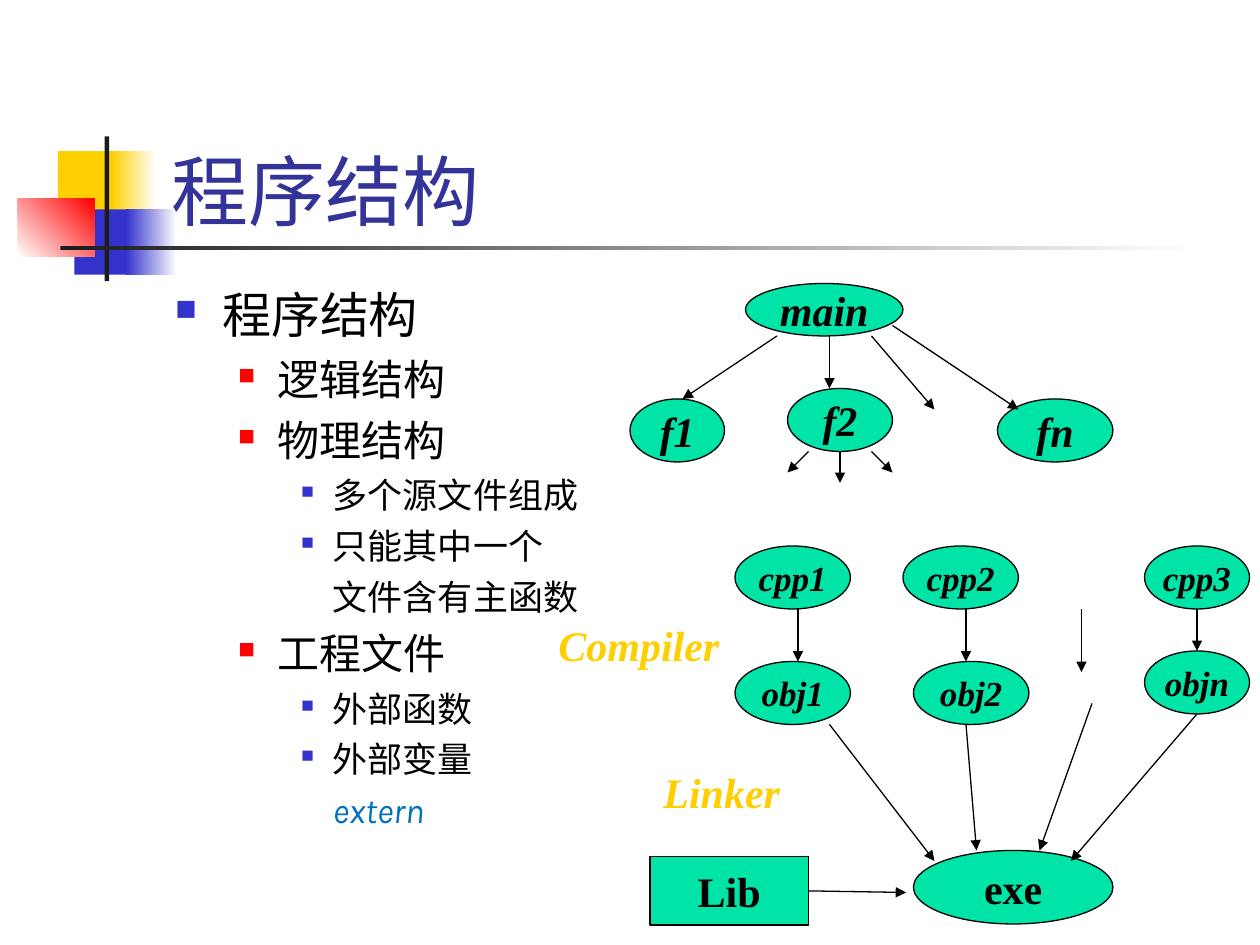
from dataclasses import dataclass

from lxml import etree
from pptx import Presentation
from pptx import util as u
from pptx.dml.color import RGBColor
from pptx.enum import shapes, text
from pptx.oxml.ns import qn

COLORS = {
    "yellow": "FFCF01", "blue": "3333CC", "red": "FF0000", "dark": "1C1C1C",
    "white": "FFFFFF", "black": "000000", "title": "333399", "green": "00E4A8",
    "link": "0070C0",
}
BODY_FONT = "Karla"
DIAGRAM_FONT = "Times New Roman"
BULLET_FONT = "Wingdings"
SQUARE_BULLET = "n"
UNITS_PER_INCH = 12


@dataclass
class Bar:
    box: tuple
    start: str
    end: str = ""
    angle: int = 0


@dataclass
class Node:
    label: str
    box: tuple
    size: int = 24
    italic: bool = True
    kind: int = shapes.MSO_SHAPE.OVAL


@dataclass
class Level:
    size: int
    left: float
    hang: float
    before: int
    bullet: str
    percent: int


@dataclass
class Item:
    text: str
    level: int
    bulleted: bool = True
    color: str = "black"
    italic: bool = False


BARS = [
    Bar((1.17, 3.05, 1.22, 1.32), "yellow"),
    Bar((2.24, 3.05, 0.91, 1.32), "yellow", "white"),
    Bar((1.5, 4.22, 1.17, 1.32), "blue"),
    Bar((2.54, 4.22, 1.02, 1.32), "blue", "white"),
    Bar((0.36, 4.01, 1.55, 1.17), "white", "red", 45),
    Bar((2.11, 2.75, 0.09, 2.92), "dark"),
    Bar((1.22, 4.95, 22.86, 0.09), "dark", "white"),
]
LEVELS = [
    Level(28, 0.95, 0.95, 7, "blue", 60),
    Level(24, 2.06, 0.79, 6, "red", 55),
    Level(20, 3.18, 0.64, 5, "blue", 50),
]
ITEMS = [
    Item("程序结构", 0),
    Item("逻辑结构", 1),
    Item("物理结构", 1),
    Item("多个源文件组成", 2),
    Item("只能其中一个", 2),
    Item("文件含有主函数", 2, bulleted=False),
    Item("工程文件", 1),
    Item("外部函数", 2),
    Item("外部变量", 2),
    Item("extern", 2, bulleted=False, color="link", italic=True),
]
NODES = [
    Node("main", (71, 27, 15, 5)),
    Node("f1", (60, 38, 9, 6)),
    Node("f2", (75, 37, 10, 6)),
    Node("fn", (95, 38, 11, 6)),
    Node("cpp1", (70, 52, 11, 6), 20),
    Node("cpp2", (86, 52, 11, 6), 20),
    Node("cpp3", (109, 52, 10, 6), 20),
    Node("obj1", (70, 63, 11, 6), 20),
    Node("obj2", (87, 63, 11, 6), 20),
    Node("objn", (109, 62, 10, 6), 20),
    Node("exe", (87, 81, 19, 7), italic=False),
]
LIB = Node("Lib", (61.9, 81.6, 15.1, 6.5), italic=False, kind=shapes.MSO_SHAPE.RECTANGLE)
ARROWS = [
    (74, 32, 65, 38), (79, 32, 79, 37), (85, 31, 97, 39), (83, 32, 89, 39),
    (77, 43, 75, 45), (80, 43, 80, 46), (83, 43, 85, 45),
    (76, 58, 76, 63), (92, 58, 92, 63), (103, 58, 103, 64), (114, 58, 114, 62),
    (79, 69, 89, 82), (92, 69, 93, 81), (104, 67, 99, 81), (114, 68, 102, 82),
]
STAGES = [("Compiler", (52, 58.4, 17.8, 6)), ("Linker", (62, 72.4, 13.6, 6))]


def rgb(name: str) -> RGBColor:
    return RGBColor.from_string(COLORS[name])


def cm(values: tuple) -> list:
    return [u.Cm(v) for v in values]


def grid(values: tuple) -> list:
    return cm(tuple(v * 2.54 / UNITS_PER_INCH for v in values))


def write(p, content: str, *, size: int, font: str = DIAGRAM_FONT, color: str = "black",
          bold: bool = False, italic: bool = False, align=text.PP_ALIGN.LEFT) -> None:
    p.alignment = align
    r = p.add_run()
    r.text = content
    f = r.font
    f.name, f.size, f.bold, f.italic = font, u.Pt(size), bold, italic
    f.color.rgb = rgb(color)
    etree.SubElement(r._r.get_or_add_rPr(), qn("a:ea"), typeface=font)


def add_text(s, box: list, wrap: bool = True):
    tf = s.shapes.add_textbox(*box).text_frame
    tf.word_wrap = wrap
    if not wrap:
        tf.auto_size = text.MSO_AUTO_SIZE.SHAPE_TO_FIT_TEXT
    return tf


def add_bar(s, bar: Bar) -> None:
    sp = s.shapes.add_shape(shapes.MSO_SHAPE.RECTANGLE, *cm(bar.box))
    sp.shadow.inherit = False
    sp.line.fill.background()
    if not bar.end:
        sp.fill.solid()
        sp.fill.fore_color.rgb = rgb(bar.start)
        return
    sp.fill.gradient()
    sp.fill.gradient_angle = bar.angle
    for stop, name in zip(sp.fill.gradient_stops, (bar.start, bar.end)):
        stop.color.rgb = rgb(name)


def add_node(s, node: Node):
    sp = s.shapes.add_shape(node.kind, *grid(node.box))
    sp.shadow.inherit = False
    sp.fill.solid()
    sp.fill.fore_color.rgb = rgb("green")
    sp.line.color.rgb = rgb("black")
    sp.line.width = u.Pt(0.75)
    tf = sp.text_frame
    tf.word_wrap = False
    tf.vertical_anchor = text.MSO_ANCHOR.MIDDLE
    write(tf.paragraphs[0], node.label, size=node.size, bold=True, italic=node.italic,
          align=text.PP_ALIGN.CENTER)
    return sp


def add_arrow(s, ends: tuple):
    c = s.shapes.add_connector(shapes.MSO_CONNECTOR.STRAIGHT, *grid(ends))
    c.line.color.rgb = rgb("black")
    c.line.width = u.Pt(0.75)
    sp_pr = c._element.spPr
    etree.SubElement(sp_pr.find(qn("a:ln")), qn("a:tailEnd"), type="triangle")
    etree.SubElement(sp_pr, qn("a:effectLst"))
    return c


def add_item(p, item: Item, first: bool) -> None:
    level = LEVELS[item.level]
    hang = level.hang if item.bulleted else 0
    p.level = item.level
    p_pr = p._p.get_or_add_pPr()
    p_pr.set("marL", str(u.Cm(level.left)))
    p_pr.set("indent", str(-u.Cm(hang)))
    if item.bulleted:
        clr = etree.SubElement(p_pr, qn("a:buClr"))
        etree.SubElement(clr, qn("a:srgbClr"), val=COLORS[level.bullet])
        etree.SubElement(p_pr, qn("a:buSzPct"), val=str(level.percent * 1000))
        etree.SubElement(p_pr, qn("a:buFont"), typeface=BULLET_FONT, charset="2")
        etree.SubElement(p_pr, qn("a:buChar"), char=SQUARE_BULLET)
    else:
        etree.SubElement(p_pr, qn("a:buNone"))
    p.space_before = u.Pt(0 if first else level.before)
    write(p, item.text, size=level.size, font=BODY_FONT, color=item.color, italic=item.italic)


def main() -> None:
    prs = Presentation()
    prs.slide_width, prs.slide_height = u.Cm(25.4), u.Cm(19.05)
    s = prs.slides.add_slide(prs.slide_layouts[6])
    for bar in BARS:
        add_bar(s, bar)
    title = add_text(s, cm((3.2, 1.7, 21.64, 3.18)))
    title.vertical_anchor = text.MSO_ANCHOR.BOTTOM
    write(title.paragraphs[0], "程序结构", size=44, font=BODY_FONT, color="title")
    body = add_text(s, cm((3.28, 5.61, 21.59, 11.43)))
    for i, item in enumerate(ITEMS):
        add_item(body.add_paragraph() if i else body.paragraphs[0], item, i == 0)
    for node in NODES:
        add_node(s, node)
    for ends in ARROWS:
        add_arrow(s, ends)
    lib = add_node(s, LIB)
    add_arrow(s, (77, 84.85, 86.3, 85)).begin_connect(lib, 3)
    for label, box in STAGES:
        tf = add_text(s, grid(box), wrap=False)
        write(tf.paragraphs[0], label, size=24, color="yellow", bold=True, italic=True)
    prs.save("out.pptx")


if __name__ == "__main__":
    main()
